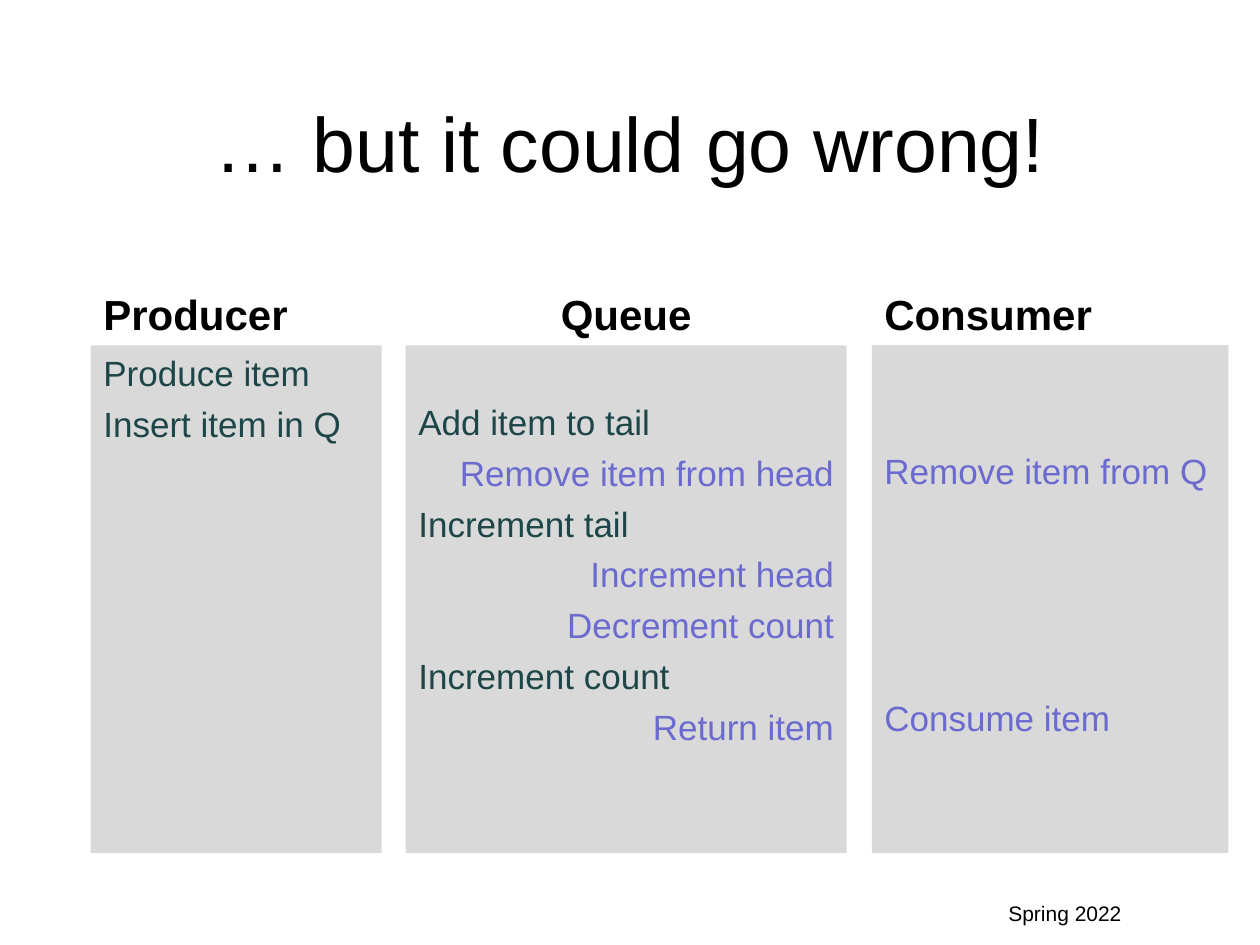
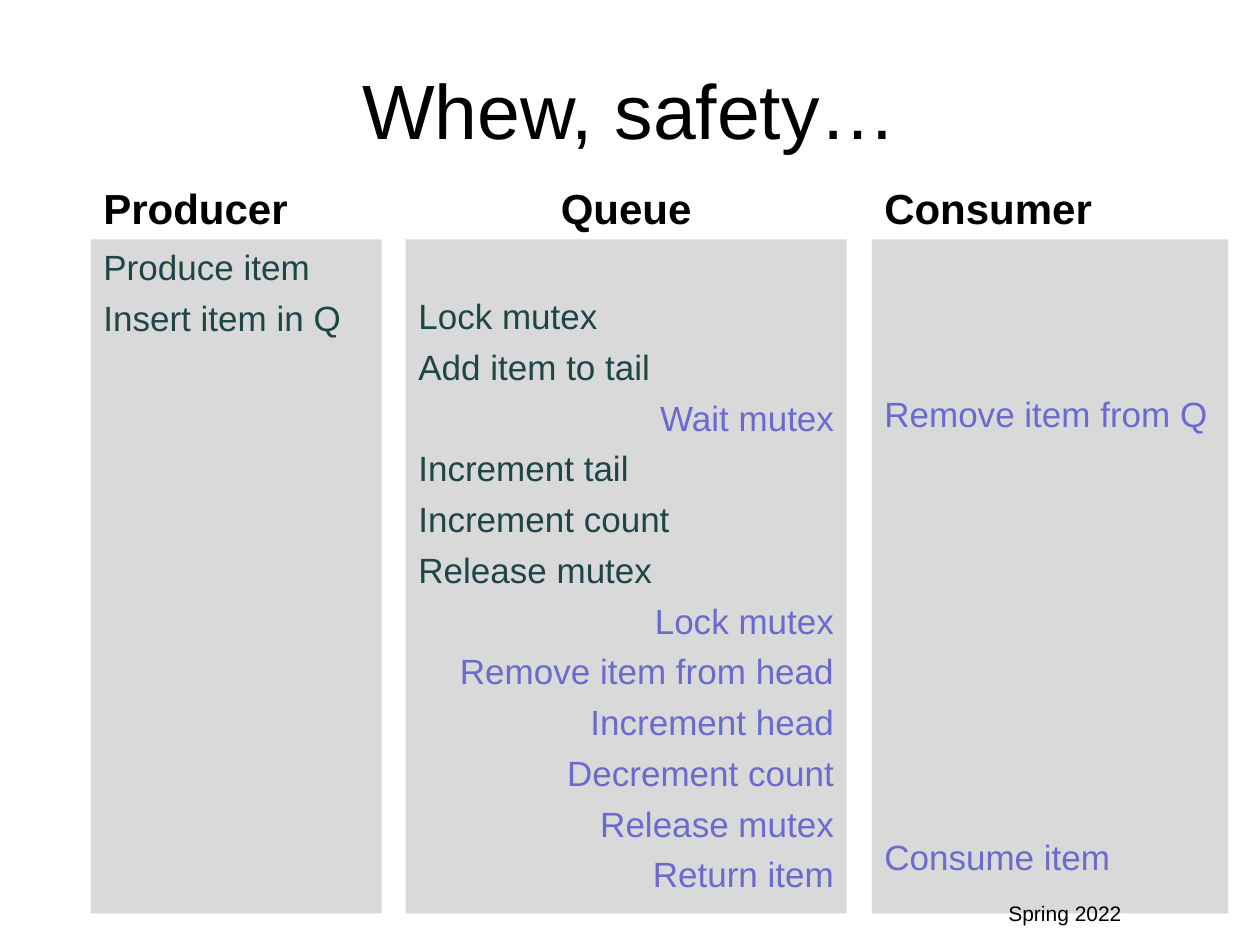
from lxml import etree
from pptx import Presentation
from pptx.dml.color import RGBColor
from pptx.enum.text import MSO_ANCHOR, MSO_AUTO_SIZE, PP_ALIGN
from pptx.oxml.ns import qn
from pptx.util import Inches, Pt

LEFT, CENTER, RIGHT = PP_ALIGN.LEFT, PP_ALIGN.CENTER, PP_ALIGN.RIGHT
TOP, MIDDLE, BOTTOM = MSO_ANCHOR.TOP, MSO_ANCHOR.MIDDLE, MSO_ANCHOR.BOTTOM
NO_AUTOFIT = MSO_AUTO_SIZE.NONE

BLACK = RGBColor(0x00, 0x00, 0x00)
PANEL_GRAY = RGBColor(0xD9, 0xD9, 0xD9)
PRODUCER_TEAL = RGBColor(0x1E, 0x46, 0x49)
CONSUMER_VIOLET = RGBColor(0x6B, 0x6B, 0xCF)

FONT = "Arial"
COMPARISON_LAYOUT = 4
HEADING_HEIGHT = 0.9
ROW_PITCH = 28
ROW_GAP = 5
TOP_INSET = 3.6

TITLE_STYLE = {"size": Pt(44), "bold": False, "color": BLACK}
HEADING_STYLE = {"size": Pt(24), "bold": True, "color": BLACK}
PRODUCER_STYLE = {"size": Pt(20), "bold": False, "color": PRODUCER_TEAL}
CONSUMER_STYLE = {"size": Pt(20), "bold": False, "color": CONSUMER_VIOLET}
FOOTER_STYLE = {"size": Pt(12), "bold": False, "color": BLACK}

PRODUCER_STEPS = [(0, "Produce item", PRODUCER_STYLE, LEFT),
                  (1, "Insert item in Q", PRODUCER_STYLE, LEFT)]


def producer_rows(first_row, *steps):
    return [(row, step, PRODUCER_STYLE, LEFT) for row, step in enumerate(steps, first_row)]


def consumer_rows(first_row, *steps, alignment=RIGHT):
    return [(row, step, CONSUMER_STYLE, alignment) for row, step in enumerate(steps, first_row)]


RACE_QUEUE = (producer_rows(1, "Add item to tail")
              + consumer_rows(2, "Remove item from head")
              + producer_rows(3, "Increment tail")
              + consumer_rows(4, "Increment head", "Decrement count")
              + producer_rows(6, "Increment count")
              + consumer_rows(7, "Return item"))
RACE_CONSUMER = (consumer_rows(2, "Remove item from Q", alignment=LEFT)
                 + consumer_rows(7, "Consume item", alignment=LEFT))

SAFE_QUEUE = (producer_rows(1, "Lock mutex", "Add item to tail")
              + consumer_rows(3, "Wait mutex")
              + producer_rows(4, "Increment tail", "Increment count", "Release mutex")
              + consumer_rows(7, "Lock mutex", "Remove item from head", "Increment head",
                              "Decrement count", "Release mutex", "Return item"))
SAFE_CONSUMER = (consumer_rows(3, "Remove item from Q", alignment=LEFT)
                 + consumer_rows(12, "Consume item", alignment=LEFT))


def place(shape, left, top, width, height):
    box = {"left": left, "top": top, "width": width, "height": height}
    for name, value in box.items():
        setattr(shape, name, Inches(value))


def prepare_frame(shape, anchor):
    frame = shape.text_frame
    settings = {"word_wrap": True, "auto_size": NO_AUTOFIT, "vertical_anchor": anchor}
    for name, value in settings.items():
        setattr(frame, name, value)
    return frame


def write(paragraph, text, style, alignment, space_before=0):
    paragraph.alignment = alignment
    paragraph.space_before = Pt(space_before)
    properties = paragraph._p.get_or_add_pPr()
    properties.set("marL", "0")
    properties.set("indent", "0")
    etree.SubElement(properties, qn("a:buNone"))
    run = paragraph.add_run()
    run.text = text
    run.font.name = FONT
    run.font.size = style["size"]
    run.font.bold = style["bold"]
    run.font.color.rgb = style["color"]


def add_line(shape, box, anchor, text, style, alignment):
    place(shape, *box)
    frame = prepare_frame(shape, anchor)
    write(frame.paragraphs[0], text, style, alignment)


def add_steps(shape, box, steps):
    place(shape, *box)
    shape.fill.solid()
    shape.fill.fore_color.rgb = PANEL_GRAY
    frame = prepare_frame(shape, TOP)
    first_row = steps[0][0]
    frame.margin_top = Pt(TOP_INSET + first_row * ROW_PITCH)
    previous_row = first_row - 1
    for row, text, style, alignment in steps:
        paragraph = frame.paragraphs[0] if row == first_row else frame.add_paragraph()
        skipped_rows = row - previous_row - 1
        write(paragraph, text, style, alignment, ROW_GAP + skipped_rows * ROW_PITCH)
        previous_row = row


def add_column(heading_shape, panel_shape, box, heading, heading_width, alignment, steps):
    left, top, width, height = box
    heading_box = (left, top - HEADING_HEIGHT, heading_width, HEADING_HEIGHT)
    add_line(heading_shape, heading_box, BOTTOM, heading, HEADING_STYLE, alignment)
    add_steps(panel_shape, box, steps)


def add_text_box(slide):
    return slide.shapes.add_textbox(0, 0, 0, 0)


def add_timeline_slide(presentation, title, title_height, panel_top, panel_height,
                       queue_steps, consumer_steps):
    slide = presentation.slides.add_slide(presentation.slide_layouts[COMPARISON_LAYOUT])
    title_shape, *body = slide.placeholders
    add_line(title_shape, (0.69, 0.4, 8.62, title_height), MIDDLE, title, TITLE_STYLE, CENTER)
    consumer = [add_text_box(slide), add_text_box(slide)]
    columns = [
        (body[:2], 0.72, 2.31, "Producer", 3, LEFT, PRODUCER_STEPS),
        (body[2:4], 3.22, 3.5, "Queue", 3.5, CENTER, queue_steps),
        (consumer, 6.92, 2.83, "Consumer", 3, LEFT, consumer_steps),
    ]
    for shapes, left, width, *content in columns:
        add_column(*shapes, (left, panel_top, width, panel_height), *content)
    add_line(add_text_box(slide), (0.99, 7.1, 8.01, 0.3), TOP, "Spring 2022", FOOTER_STYLE, RIGHT)


def main():
    presentation = Presentation()
    presentation.slide_width = Inches(10)
    presentation.slide_height = Inches(7.5)
    add_timeline_slide(presentation, "… but it could go wrong!", 1.45, 2.74, 4.03,
                       RACE_QUEUE, RACE_CONSUMER)
    add_timeline_slide(presentation, "Whew, safety…", 0.93, 1.9, 5.35,
                       SAFE_QUEUE, SAFE_CONSUMER)
    presentation.save("out.pptx")


if __name__ == "__main__":
    main()
